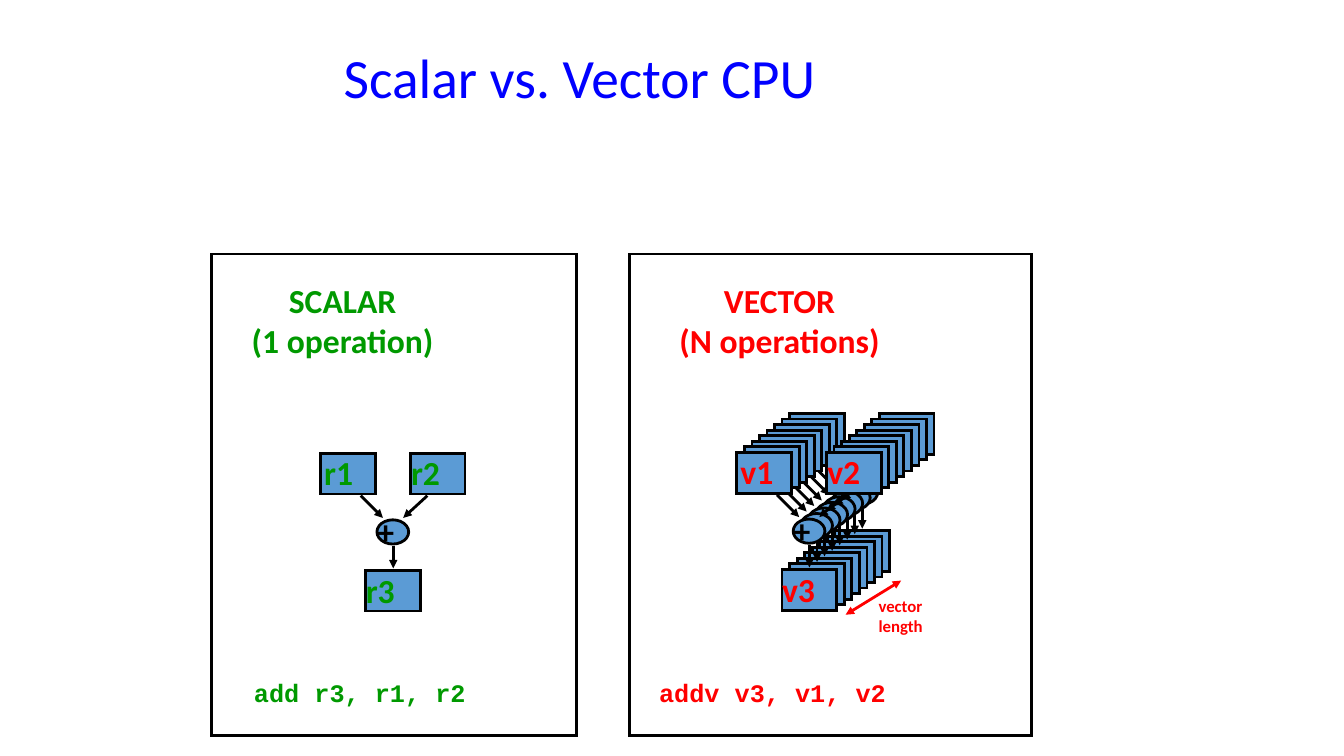
from pptx import Presentation
from pptx.dml.color import RGBColor
from pptx.enum.shapes import MSO_CONNECTOR, MSO_SHAPE
from pptx.enum.text import MSO_ANCHOR, MSO_AUTO_SIZE, PP_ALIGN
from pptx.oxml.ns import qn
from pptx.util import Cm, Pt
from lxml.etree import SubElement

REGISTERS = [(-1.42, -1.68), (0.84, -1.68), (-0.28, 1.27)]
LABELS = [(-1.58, -1.83), (0.61, -1.83), (-0.53, 1.13)]
ARROWS = [(-0.41, -0.61, 0.15, -0.05), (1.27, -0.61, 0.66, -0.05),
          (0.41, 0.66, 0.41, 1.22)]
LAYERS = 8
STEP_X, STEP_Y = 0.19, 0.14


def color(value):
    return RGBColor.from_string(value)


class Diagram:
    """Draws the CPU diagrams on one slide in a shared style."""

    black, blue, fill = "000000", "0000FF", "5B9BD5"
    green, red = "009900", "FF0000"
    font, code_font = "Calibri", "Courier New"
    line_width = Pt(2)

    def __init__(self, slide):
        self.s = slide

    def shape(self, kind, x, y, w, h, fill=None):
        sp = self.s.shapes.add_shape(kind, Cm(x), Cm(y), Cm(w), Cm(h))
        sp.shadow.inherit = False
        if fill:
            sp.fill.solid()
            sp.fill.fore_color.rgb = color(fill)
        else:
            sp.fill.background()
        sp.line.color.rgb = color(self.black)
        sp.line.width = self.line_width
        SubElement(sp._element.spPr.get_or_add_ln(), qn("a:miter"), lim="800000")

    def text(self, text, x, y, w, h, size=24, font=None, rgb=black, bold=True,
             align=PP_ALIGN.LEFT, anchor=MSO_ANCHOR.TOP, wrap=False,
             fit=MSO_AUTO_SIZE.SHAPE_TO_FIT_TEXT, spacing=1.0):
        tf = self.s.shapes.add_textbox(Cm(x), Cm(y), Cm(w), Cm(h)).text_frame
        tf.word_wrap = wrap
        tf.auto_size = fit
        tf.vertical_anchor = anchor
        tf.text = text
        for p in tf.paragraphs:
            p.alignment = align
            p.line_spacing = spacing
            for r in p.runs:
                r.font.name = font or self.font
                r.font.size = Pt(size)
                r.font.bold = bold
                r.font.color.rgb = color(rgb)

    def arrow(self, x1, y1, x2, y2, rgb=black, ends=("tailEnd",)):
        c = self.s.shapes.add_connector(
            MSO_CONNECTOR.STRAIGHT, Cm(x1), Cm(y1), Cm(x2), Cm(y2))
        c.line.color.rgb = color(rgb)
        c.line.width = self.line_width
        ln = c._element.spPr.get_or_add_ln()
        for end in ends:
            SubElement(ln, qn(f"a:{end}"), type="triangle")
        SubElement(c._element.spPr, qn("a:effectLst"))

    def adder(self, x, y, names=(), rgb=black, arrows=ARROWS):
        self.shape(MSO_SHAPE.OVAL, x, y, 0.8, 0.61, self.fill)
        for dx, dy in REGISTERS:
            self.shape(MSO_SHAPE.RECTANGLE, x + dx, y + dy, 1.38, 1.03, self.fill)
        for name, (dx, dy) in zip(names, LABELS):
            self.text(name, x + dx, y + dy, 1.4, 1.27, rgb=rgb)
        for x1, y1, x2, y2 in arrows:
            self.arrow(x + x1, y + y1, x + x2, y + y2)
        if names:
            self.text("+", x - 0.24, y - 0.36, 0.94, 1.27)

    def panel(self, x, w):
        self.shape(MSO_SHAPE.RECTANGLE, x, 6.4, w, 12.13)

    def caption(self, heading, heading_x, heading_w, code, code_x, code_w, rgb):
        self.text(heading, heading_x, 6.93, heading_w, 2.31, rgb=rgb,
                  align=PP_ALIGN.CENTER)
        self.text(code, code_x, 16.95, code_w, 1.02, size=18,
                  font=self.code_font, rgb=rgb)


def main():
    prs = Presentation()
    prs.slide_width, prs.slide_height = Cm(33.87), Cm(19.05)
    d = Diagram(prs.slides.add_slide(prs.slide_layouts[6]))

    d.text("Scalar vs. Vector CPU", 0, 1.02, 29.21, 1.88, size=39.6, rgb=d.blue,
           bold=False, align=PP_ALIGN.CENTER, anchor=MSO_ANCHOR.BOTTOM,
           wrap=True, fit=MSO_AUTO_SIZE.NONE, spacing=0.9)

    d.panel(5.33, 9.21)
    d.adder(9.5, 13.1, ("r1", "r2", "r3"), d.green)
    d.caption("SCALAR\n(1 operation)", 6.07, 5.13,
              "add r3, r1, r2", 6.15, 5.87, d.green)

    d.panel(15.86, 10.14)
    front_x, front_y = 19.99, 13.08
    for depth in range(LAYERS - 1, 0, -1):
        arrows = ARROWS[1:] if depth == LAYERS - 1 else ARROWS
        d.adder(front_x + depth * STEP_X, front_y - depth * STEP_Y, arrows=arrows)
    d.adder(front_x, front_y, ("v1", "v2", "v3"), d.red)
    d.arrow(22.71, 14.63, 21.31, 15.49, d.red, ("headEnd", "tailEnd"))
    d.text("vector\nlength", 21.89, 14.88, 2.39, 1.27, size=12, rgb=d.red, wrap=True)
    d.caption("VECTOR\n(N operations)", 16.84, 5.61,
              "addv v3, v1, v2", 16.36, 6.25, d.red)

    prs.save("out.pptx")


if __name__ == "__main__":
    main()
